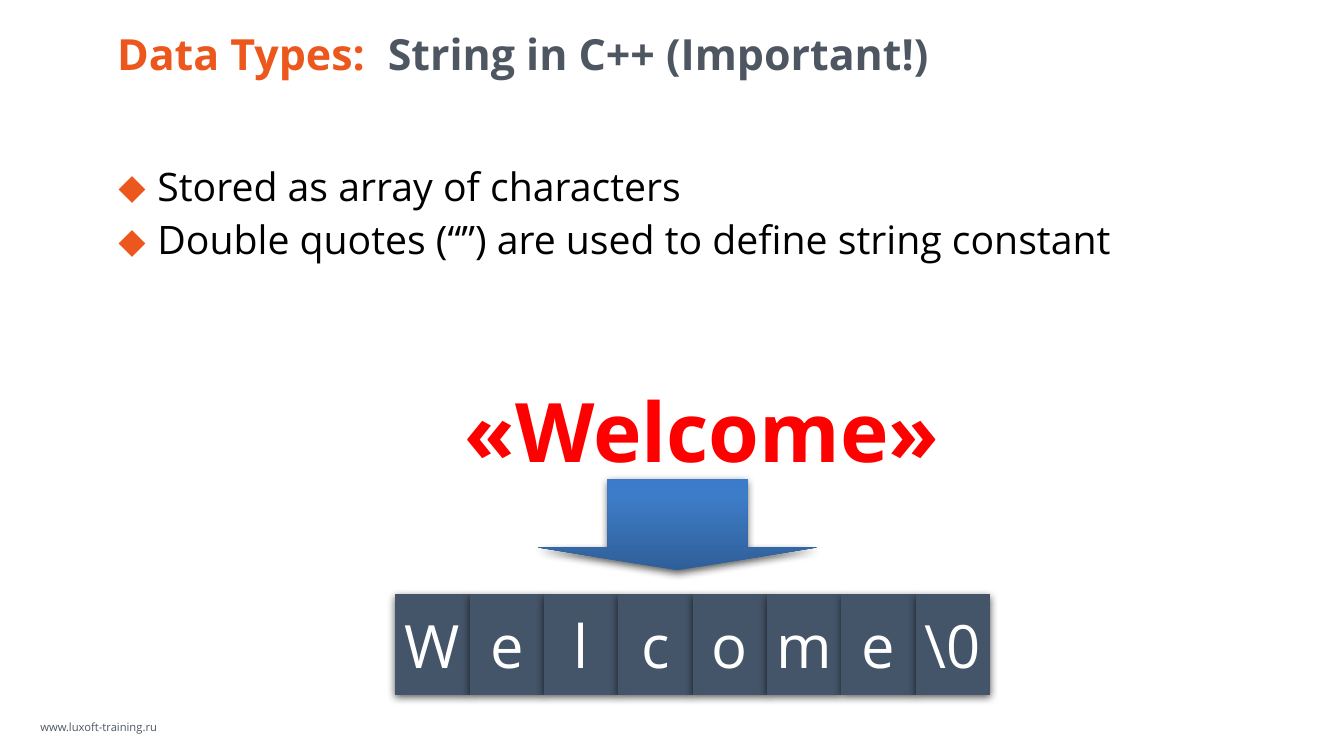
import copy
from dataclasses import dataclass

import pptx
import pptx.dml.color
import pptx.enum.shapes
import pptx.enum.text
import pptx.oxml
import pptx.oxml.ns
import pptx.util

Pt = pptx.util.Pt
Anchor = pptx.enum.text.MSO_ANCHOR
Align = pptx.enum.text.PP_ALIGN
Preset = pptx.enum.shapes.MSO_SHAPE

FONT = "Open Sans"
ORANGE, GREY, BLACK, RED, WHITE, SLATE = (
    "EB571C", "4E5761", "000000", "FF0000", "FFFFFF", "445469")
ARROW_STOPS = [(0, "2F5F99"), (0.8, "3D7CC7"), (1, "3A7CCB")]
BULLETS = [
    "Stored as array of characters",
    "Double quotes (“”) are used to define string constant",
]
CHARACTERS = ["W", "e", "l", "c", "o", "m", "e", "\\0"]
CELL_LEFT, CELL_TOP, CELL_WIDTH, CELL_HEIGHT = 211.8, 318.2, 39.83, 54


@dataclass
class Box:
    left: float
    top: float
    width: float
    height: float

    def lengths(self) -> list:
        return [Pt(value) for value in (self.left, self.top, self.width, self.height)]


@dataclass
class TextStyle:
    size: float
    color: str
    bold: bool = False


def rgb(color: str):
    return pptx.dml.color.RGBColor.from_string(color)


def add_run(paragraph, text: str, style: TextStyle) -> None:
    run = paragraph.add_run()
    run.text = text
    run.font.name = FONT
    run.font.size = Pt(style.size)
    run.font.bold = style.bold
    run.font.color.rgb = rgb(style.color)


def set_frame(frame, horizontal: float, vertical: float, anchor, wrap: bool) -> None:
    frame.auto_size = pptx.enum.text.MSO_AUTO_SIZE.NONE
    frame.word_wrap = wrap
    frame.vertical_anchor = anchor
    frame.margin_left = frame.margin_right = Pt(horizontal)
    frame.margin_top = frame.margin_bottom = Pt(vertical)


def place(shape, box: Box) -> None:
    shape.left, shape.top, shape.width, shape.height = box.lengths()


def add_bullet(paragraph) -> None:
    """Give the paragraph a hanging orange diamond."""
    properties = paragraph._p.get_or_add_pPr()
    properties.set("marL", str(Pt(21.6)))
    properties.set("indent", str(-Pt(20.9)))
    namespace = pptx.oxml.ns.nsdecls("a")
    for xml in (
        f'<a:buClr {namespace}><a:srgbClr val="{ORANGE}"/></a:buClr>',
        f'<a:buFont {namespace} typeface="{FONT}"/>',
        f'<a:buChar {namespace} char="⬥"/>',
    ):
        properties.append(pptx.oxml.parse_xml(xml))


def add_shadow(shape) -> None:
    """Cast a soft black shadow straight down."""
    shape.shadow.inherit = False
    effects = shape._element.spPr.find(pptx.oxml.ns.qn("a:effectLst"))
    effects.append(pptx.oxml.parse_xml(
        f'<a:outerShdw {pptx.oxml.ns.nsdecls("a")} blurRad="{Pt(4.5)}" '
        f'dist="{Pt(1.5)}" dir="5400000" rotWithShape="0">'
        '<a:srgbClr val="000000"><a:alpha val="63000"/></a:srgbClr></a:outerShdw>'))


def add_text_box(slide, box: Box, text: str, style: TextStyle,
                 horizontal: float, vertical: float) -> None:
    frame = slide.shapes.add_textbox(*box.lengths()).text_frame
    set_frame(frame, horizontal, vertical, Anchor.TOP, False)
    add_run(frame.paragraphs[0], text, style)


def add_cell(slide, box: Box, character: str) -> None:
    shape = slide.shapes.add_shape(Preset.FLOWCHART_PROCESS, *box.lengths())
    shape.fill.solid()
    shape.fill.fore_color.rgb = rgb(SLATE)
    shape.line.fill.background()
    add_shadow(shape)
    set_frame(shape.text_frame, 7.2, 3.6, Anchor.MIDDLE, False)
    paragraph = shape.text_frame.paragraphs[0]
    paragraph.alignment = Align.CENTER
    add_run(paragraph, character, TextStyle(32, WHITE))


def add_arrow(slide, box: Box) -> None:
    arrow = slide.shapes.add_shape(Preset.DOWN_ARROW, *box.lengths())
    arrow.adjustments[0] = 0.5
    arrow.adjustments[1] = 0.25
    arrow.fill.gradient()
    arrow.fill.gradient_angle = 90
    stop_list = arrow._element.spPr.find(".//" + pptx.oxml.ns.qn("a:gsLst"))
    stop_list.append(copy.deepcopy(stop_list[-1]))
    for stop, (position, color) in zip(arrow.fill.gradient_stops, ARROW_STOPS):
        stop.position = position
        stop.color.rgb = rgb(color)
    arrow.line.fill.background()
    add_shadow(arrow)


def fill_title(title) -> None:
    place(title, Box(56.9, 5, 612, 47.5))
    set_frame(title.text_frame, 5.8, 2.9, Anchor.MIDDLE, True)
    paragraph = title.text_frame.paragraphs[0]
    paragraph.alignment = Align.LEFT
    add_run(paragraph, "Data Types:  ", TextStyle(23, ORANGE, True))
    add_run(paragraph, "String in С++ (Important!)", TextStyle(23, GREY, True))


def fill_body(body) -> None:
    place(body, Box(56.9, 77.8, 612, 121.7))
    frame = body.text_frame
    set_frame(frame, 5.8, 2.9, Anchor.TOP, True)
    frame.margin_top = Pt(5.4)
    for index, text in enumerate(BULLETS):
        paragraph = frame.add_paragraph() if index else frame.paragraphs[0]
        add_bullet(paragraph)
        paragraph.line_spacing = 1.14
        paragraph.space_before = Pt(0)
        add_run(paragraph, text, TextStyle(21, BLACK))


def main() -> None:
    presentation = pptx.Presentation()
    presentation.slide_width, presentation.slide_height = Pt(720), Pt(405)
    slide = presentation.slides.add_slide(presentation.slide_layouts[1])

    fill_title(slide.shapes.title)
    fill_body(slide.placeholders[1])
    add_text_box(slide, Box(15.8, 383, 73.4, 12.2), "www.luxoft-training.ru",
                 TextStyle(6, GREY), 5.8, 2.9)
    add_text_box(slide, Box(241.9, 200.2, 268.6, 59.8), "«Welcome»",
                 TextStyle(44, RED, True), 7.2, 3.6)
    for index, character in enumerate(CHARACTERS):
        left = CELL_LEFT + index * CELL_WIDTH
        add_cell(slide, Box(left, CELL_TOP, CELL_WIDTH, CELL_HEIGHT), character)
    add_arrow(slide, Box(288, 256.5, 149.8, 49))

    presentation.save("out.pptx")


if __name__ == "__main__":
    main()
